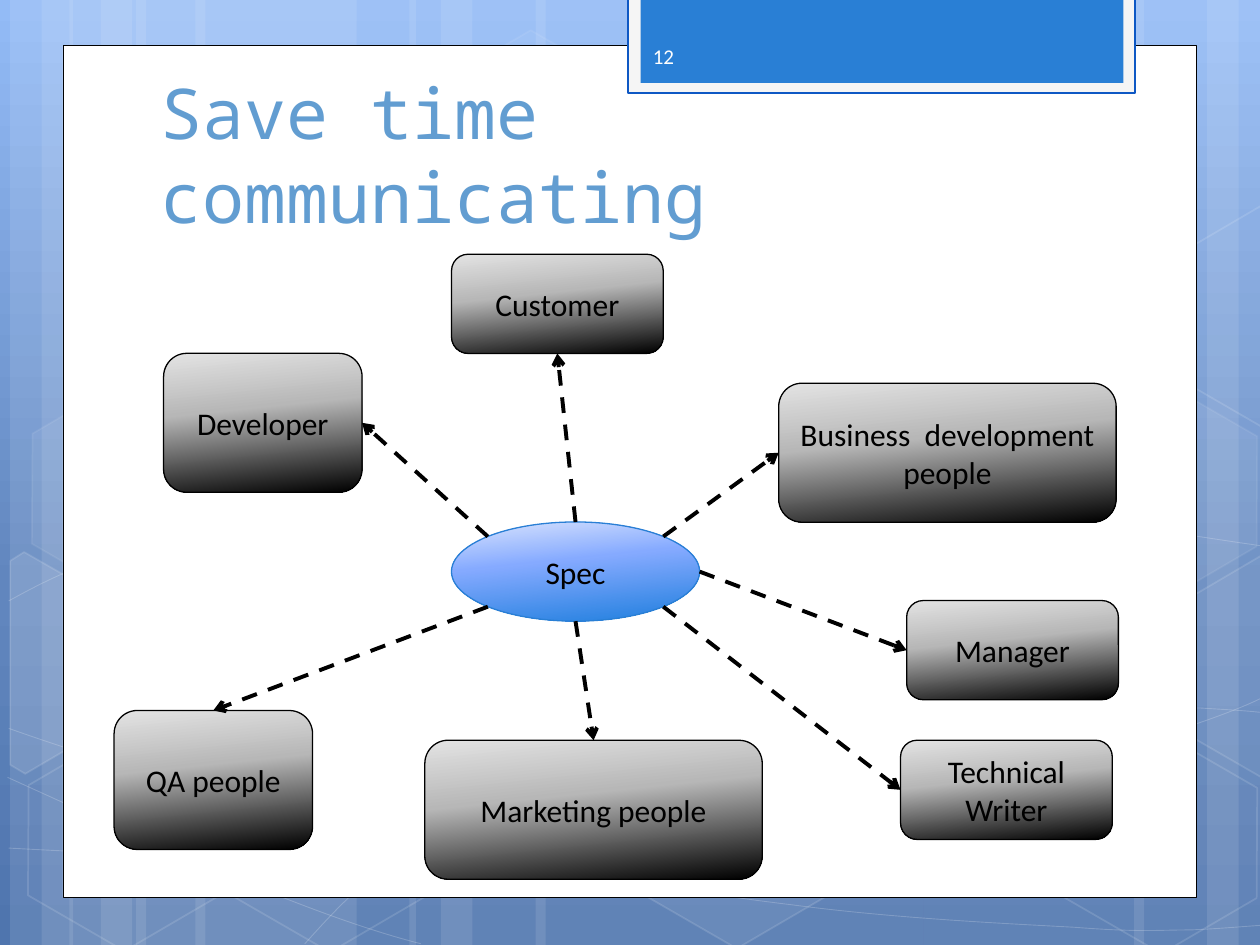
from copy import deepcopy
from math import cos, radians, sin

from lxml import etree
from pptx import Presentation
from pptx.dml.color import RGBColor
from pptx.enum.dml import MSO_LINE
from pptx.enum.shapes import MSO_CONNECTOR, MSO_SHAPE
from pptx.enum.text import MSO_ANCHOR, PP_ALIGN
from pptx.oxml.ns import qn
from pptx.util import Pt

RECTANGLE, ROUNDED = MSO_SHAPE.RECTANGLE, MSO_SHAPE.ROUNDED_RECTANGLE
HEXAGON, OVAL = MSO_SHAPE.HEXAGON, MSO_SHAPE.OVAL
STRAIGHT, DASH = MSO_CONNECTOR.STRAIGHT, MSO_LINE.DASH
MIDDLE, BOTTOM = MSO_ANCHOR.MIDDLE, MSO_ANCHOR.BOTTOM
LEFT, CENTER = PP_ALIGN.LEFT, PP_ALIGN.CENTER

COLORS = {
    "white": "FFFFFF", "black": "000000", "tab_frame": "F5F5F5",
    "tab_line": "0E58C4", "blue": "297FD5", "title": "629DD1", "number": "FEFEFE",
}
BACKGROUND_STOPS = [(0, "93BBF6"), (0.62, "6186BE"), (1, "4F75AE")]
ROLE_STOPS = [(0, "E3E3E3"), (0.4, "B7B7B7"), (1, "000000")]
SPEC_STOPS = [(0, "D8E3FD"), (0.4, "85AAFF"), (1, "207FDE")]
TILT = 30


def set_gradient(fill, element, stops, angle):
    """Fill with three stops, at a clockwise angle; element holds the fill's XML."""
    fill.gradient()
    fill.gradient_angle = 360 - angle
    stop_list = element.find(".//" + qn("a:gsLst"))
    stop_list.append(deepcopy(stop_list[0]))
    for stop, (position, color) in zip(fill.gradient_stops, stops):
        stop.position = position
        stop.color.rgb = RGBColor.from_string(color)


def paint(shape, fill=None, line=None, width=1, fill_alpha=100, line_alpha=100):
    """Set solid fill and line by colour name, with opacity in percent."""
    shape.shadow.inherit = False
    for part, color, alpha in ((shape.fill, fill, fill_alpha),
                               (shape.line.fill, line, line_alpha)):
        if color is None or alpha == 0:
            part.background()
            continue
        part.solid()
        part.fore_color.rgb = RGBColor.from_string(COLORS[color])
        if alpha < 100:
            properties = shape._element.spPr
            if part is not shape.fill:
                properties = properties.find(qn("a:ln"))
            rgb = properties.find(qn("a:solidFill"))[0]
            etree.SubElement(rgb, qn("a:alpha"), val=str(alpha * 1000))
    if line:
        shape.line.width = Pt(width)


presentation = Presentation()
presentation.slide_width, presentation.slide_height = Pt(720), Pt(540)
slide = presentation.slides.add_slide(presentation.slide_layouts[6])
shapes = slide.shapes
set_gradient(slide.background.fill, slide._element, BACKGROUND_STOPS, 90)

# Background stripes: left, width, rotation
stripes = [
    (77.8, 126, 0), (5.8, 36, 0), (23.8, 59.8, 0),
    (111.6, 126, 0), (39.6, 36, 0), (57.6, 59.8, 0),
    (527.8, 126, 180), (689.8, 36, 180), (648, 59.8, 180),
    (306, 221.8, 0), (234, 36, 0), (252, 59.8, 0),
]
for left, width, rotation in stripes:
    stripe = shapes.add_shape(RECTANGLE, Pt(left), Pt(0), Pt(width), Pt(540))
    stripe.rotation = rotation
    paint(stripe, "white", fill_alpha=10)

# Background curves: start point, then Bezier segments of two controls and an end
curves = [
    [(5, 484.6), (44.6, 486.7), (82.8, 488.9), (136.8, 488.2),
     (190.8, 487.4), (257.8, 486), (329.8, 478.8),
     (401.8, 471.6), (504, 457.9), (570.2, 444.2),
     (635.8, 430.6), (703.4, 409), (725, 396.7)],
    [(5, 343.4), (25.9, 331.9), (46.8, 321.1), (87.1, 310.3),
     (128.2, 299.5), (186.5, 283.7), (249.8, 278.6),
     (313.9, 273.6), (391.7, 272.9), (470.9, 278.6),
     (550.1, 284.4), (681.8, 306.7), (725, 312.5)],
    [(4.3, 444.2), (91.4, 483.8), (177.8, 523.4), (240.5, 539.3)],
    [(5, 416.2), (27.4, 424.1), (50.4, 432), (92.2, 443.5),
     (133.9, 454.3), (196.6, 472.3), (257, 484.6),
     (316.8, 496.8), (392.4, 509.8), (452.2, 517),
     (511.9, 524.9), (576, 527.8), (614.2, 529.9),
     (651.6, 532.8), (661.7, 531.4), (680.4, 531.4),
     (699.1, 530.6), (712.1, 529.2), (725, 528.5)],
    [(174.2, 539.3), (187.2, 524.9), (200.2, 510.5), (217.4, 497.5),
     (234.7, 484.6), (259.2, 470.2), (279.4, 460.1),
     (299.5, 450.7), (311.8, 445.7), (338.4, 438.5),
     (364.3, 431.3), (412.6, 421.2), (437.8, 416.2),
     (463.7, 411.1), (467.3, 411.1), (489.6, 409.7),
     (511.9, 407.5), (547.2, 405.4), (571.7, 404.6),
     (596.9, 403.9), (637.9, 404.6), (637.9, 404.6),
     (654, 404.6), (670.1, 404.6), (686.2, 404.6),
     (699.1, 405.4), (711.4, 406.1), (717.8, 406.8),
     (724.3, 407.5), (722.2, 406.8), (724.3, 407.5)],
]
for curve in curves:
    start, *others = [(Pt(x), Pt(y)) for x, y in curve]
    builder = shapes.build_freeform(*start)
    builder.add_line_segments(others, close=False)
    wave = builder.convert_to_shape()
    paint(wave, line="white", width=0.5, line_alpha=20)
    # Every three straight segments become one Bezier segment
    outline = wave._element.find(".//" + qn("a:path"))
    segments = outline.findall(qn("a:lnTo"))
    for first in range(0, len(segments), 3):
        bezier = etree.SubElement(outline, qn("a:cubicBezTo"))
        for segment in segments[first:first + 3]:
            bezier.append(segment[0])
            outline.remove(segment)

# Background hexagons: left, top, fill opacity, line opacity
hexagons = [
    (240.5, 25.9, 4, 8), (357.8, 424.1, 6, 12), (7.9, 425.5, 0, 12),
    (10.1, 224.6, 7, 8), (125.3, 426.2, 0, 12), (542.2, 326.2, 10, 12),
    (600.5, 427, 0, 12), (600.5, 226.1, 7, 8),
]
for left, top, fill_alpha, line_alpha in hexagons:
    hexagon = shapes.add_shape(HEXAGON, Pt(left), Pt(top), Pt(126), Pt(109.4))
    hexagon.adjustments[0] = 0.285
    hexagon.rotation = TILT
    paint(hexagon, "white", "white", 1, fill_alpha, line_alpha)

# Hexagons cut off by the slide edge: fill opacity, pivot, corners as tilted
cut_hexagons = [
    (10, (25.9, 385.2), [(5.8, 320.4), (13.7, 315.4), (69.1, 347), (68.4, 410.4),
                         (14.4, 442.1), (5.8, 437)]),
    (4, (709.2, 374.4), [(666.7, 349.2), (720.7, 317.5), (726.5, 321.1), (726.5, 441.4),
                         (721.4, 444.2), (666.7, 412.6)]),
    (0, (709.2, 173.5), [(666.7, 149), (720.7, 117.4), (727.2, 121), (726.5, 241.2),
                         (721.4, 244.1), (666.7, 212.4)]),
]
cosine, sine = cos(radians(TILT)), sin(radians(TILT))
for fill_alpha, (pivot_x, pivot_y), corners in cut_hexagons:
    offsets = [(x - pivot_x, y - pivot_y) for x, y in corners]
    start, *others = [(Pt(pivot_x + x * cosine + y * sine), Pt(pivot_y - x * sine + y * cosine))
                      for x, y in offsets]
    builder = shapes.build_freeform(*start)
    builder.add_line_segments(others)
    cut_hexagon = builder.convert_to_shape()
    cut_hexagon.rotation = TILT
    paint(cut_hexagon, "white", "white", 1, fill_alpha, 12)

# White panel and the page number tab: box, fill, line, line width
panels = [
    ((36, 25.9, 648, 487), "white", "black", 0.5),
    ((359, -1.4, 289.6, 54.6), "tab_frame", "tab_line", 1.25),
    ((366, -1.4, 276, 48.8), "blue", None, 0),
]
for box, fill, line, width in panels:
    paint(shapes.add_shape(RECTANGLE, *map(Pt, box)), fill, line, width)

# Each labelled object: shape, text, font name, size, colour, anchor, alignment
labels = []
title = shapes.add_textbox(Pt(84.8), Pt(49), Pt(553), Pt(90))
labels.append((title, "Save time communicating", "Noto Sans Mono", 40, "title", BOTTOM, LEFT))
number = shapes.add_textbox(Pt(366), Pt(17.6), Pt(105), Pt(28.8))
labels.append((number, "12", "Calibri", 12, "number", MIDDLE, LEFT))

SPEC_BOX = (258, 298.3, 141.8, 56.7)
SMALL, MEDIUM, WIDE = (121, 56.7), (113.4, 79.4), (192.8, 79.4)
# Box side as a fraction of width and height
TOP_SIDE, LEFT_SIDE, BOTTOM_SIDE, RIGHT_SIDE = (0.5, 0), (0, 0.5), (0.5, 1), (1, 0.5)
# Text, left, top, size, side the arrow meets, angle where it leaves the ellipse
roles = [
    ("Developer", 93.5, 201.9, MEDIUM, RIGHT_SIDE, 225),
    ("QA people", 65.2, 406, MEDIUM, TOP_SIDE, 135),
    ("Business  development people", 445, 219, WIDE, LEFT_SIDE, 315),
    ("Marketing people", 242.8, 423, WIDE, TOP_SIDE, 90),
    ("Customer", 258, 145.3, SMALL, BOTTOM_SIDE, 270),
    ("Technical Writer", 514.6, 423, SMALL, LEFT_SIDE, 45),
    ("Manager", 518.1, 343.2, SMALL, LEFT_SIDE, 0),
]
nodes = [(OVAL, "Spec", SPEC_BOX, SPEC_STOPS, "blue")]
nodes += [(ROUNDED, text, (left, top, *size), ROLE_STOPS, "black")
          for text, left, top, size, _, _ in roles]
for kind, text, box, stops, line in nodes:
    node = shapes.add_shape(kind, *map(Pt, box))
    paint(node, line=line, width=0.75)
    set_gradient(node.fill, node._element, stops, 84)
    labels.append((node, text, "Calibri", 18, "black", MIDDLE, CENTER))

for shape, text, name, size, color, anchor, alignment in labels:
    frame = shape.text_frame
    frame.word_wrap = True
    frame.vertical_anchor = anchor
    paragraph = frame.paragraphs[0]
    paragraph.text = text
    paragraph.alignment = alignment
    for attribute, value in {"name": name, "size": Pt(size)}.items():
        setattr(paragraph.font, attribute, value)
    paragraph.font.color.rgb = RGBColor.from_string(COLORS[color])

# Dashed arrows from the ellipse to each role
spec_left, spec_top, spec_width, spec_height = SPEC_BOX
for _, left, top, (width, height), (across, down), angle in roles:
    start_x = spec_left + spec_width / 2 * (1 + cos(radians(angle)))
    start_y = spec_top + spec_height / 2 * (1 + sin(radians(angle)))
    arrow = shapes.add_connector(STRAIGHT, Pt(start_x), Pt(start_y),
                                 Pt(left + across * width), Pt(top + down * height))
    arrow.line.color.rgb = RGBColor.from_string(COLORS["black"])
    arrow.line.width = Pt(2.25)
    arrow.line.dash_style = DASH
    properties = arrow._element.spPr
    etree.SubElement(properties.find(qn("a:ln")), qn("a:tailEnd"), type="arrow")
    etree.SubElement(properties, qn("a:effectLst"))

presentation.save("out.pptx")
